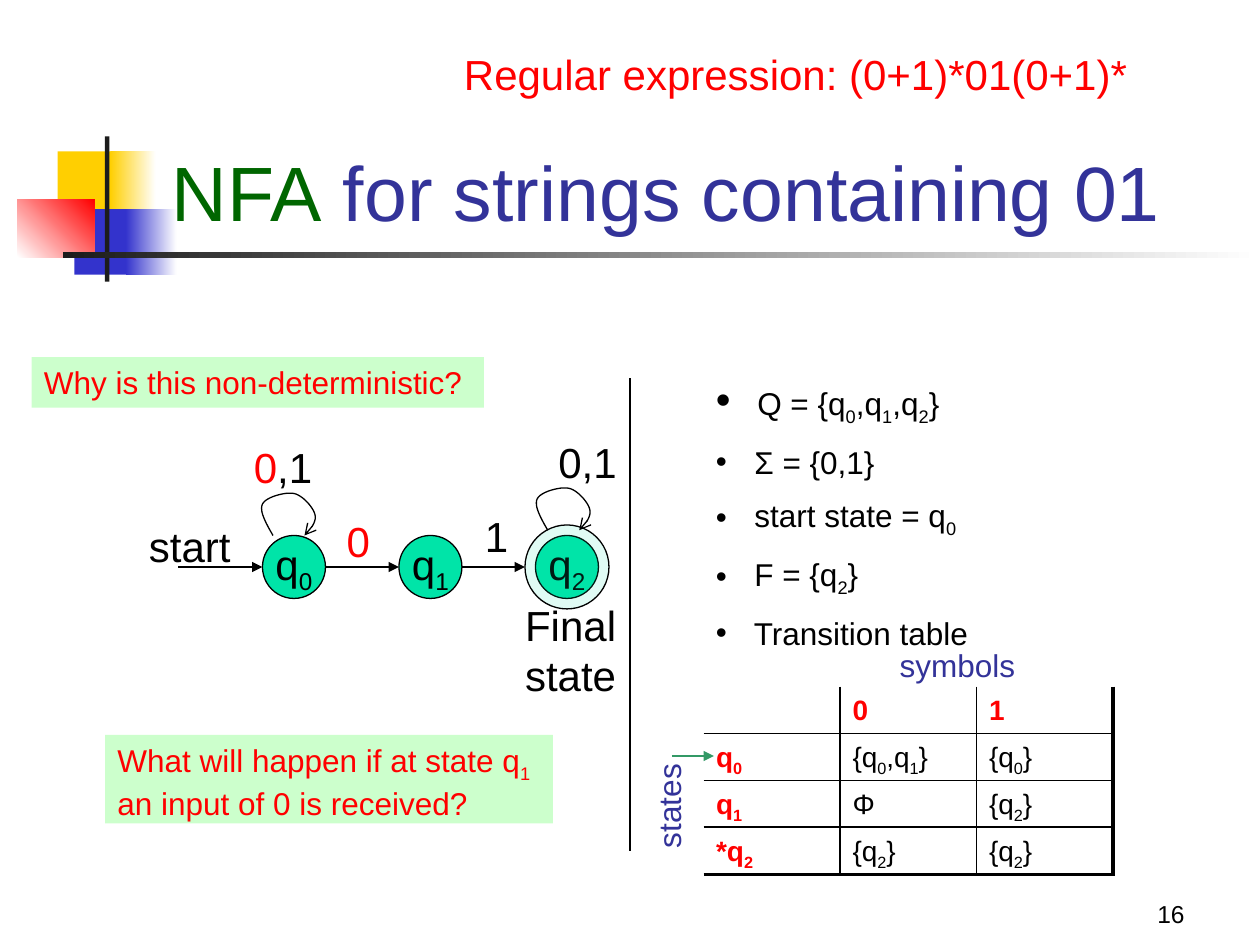
import pptx
import pptx.util
import pptx.dml.color
import pptx.enum.shapes
import pptx.enum.text
import pptx.oxml
import pptx.oxml.ns

Pt = pptx.util.Pt
SHAPE = pptx.enum.shapes.MSO_SHAPE
ALIGN = pptx.enum.text.PP_ALIGN
ANCHOR = pptx.enum.text.MSO_ANCHOR
BLACK, RED, NAVY, MINT = "000000", "FF0000", "333399", "CCFFCC"
GREEN, BLUE, YELLOW, WHITE, DARK = "00E4A8", "3333CC", "FFCF01", "FFFFFF", "1C1C1C"


def rgb(color):
    return pptx.dml.color.RGBColor.from_string(color)


def sub(parent, tag, **attrs):
    """Append a child element such as a:tailEnd and return it."""
    el = pptx.oxml.parse_xml(f"<{tag} {pptx.oxml.ns.nsdecls('a')}/>")
    for name, value in attrs.items():
        el.set(name, str(value))
    parent.append(el)
    return el


def bezier(p0, p1, p2, p3, steps=12):
    """Points along a cubic curve, without its start."""
    for i in range(1, steps + 1):
        t = i / steps
        u = 1 - t
        yield tuple(u**3 * a + 3 * u * u * t * b + 3 * u * t * t * c + t**3 * d
                    for a, b, c, d in zip(p0, p1, p2, p3))


class Deck:
    """Holds the style and the current slide."""
    font = "Arial"

    def __init__(self, prs):
        self.s = prs.slides.add_slide(prs.slide_layouts[6])

    def runs(self, p, parts, size, bold=False):
        """Add (text, colour[, size]) parts; "_x" sets x as a subscript."""
        for text, color, *own in parts:
            for i, piece in enumerate(text.split("_")):
                for chunk, low in ((piece[:1], i > 0), (piece[1:], False)) if i else ((piece, False),):
                    for n, line in enumerate(chunk.split("\n")):
                        if n:
                            p.add_line_break()
                        if line:
                            self.run(p, line, color, own[0] if own else size, bold, low)

    def run(self, p, text, color, size, bold, low):
        r = p.add_run()
        r.text = text
        r.font.name, r.font.size, r.font.bold = self.font, Pt(size), bold
        r.font.color.rgb = rgb(color)
        if low:
            r._r.get_or_add_rPr().set("baseline", "-25000")

    def text(self, box, paragraphs, size, fill=None, wrap=False, align=ALIGN.LEFT,
             anchor=ANCHOR.TOP, bullet_gap=None):
        sp = self.s.shapes.add_textbox(*map(Pt, box))
        if fill:
            sp.fill.solid()
            sp.fill.fore_color.rgb = rgb(fill)
        tf = sp.text_frame
        tf.word_wrap, tf.vertical_anchor = wrap, anchor
        for i, parts in enumerate(paragraphs):
            p = tf.paragraphs[0] if i == 0 else tf.add_paragraph()
            p.alignment = align
            if bullet_gap:
                pPr = p._p.get_or_add_pPr()
                pPr.set("marL", str(Pt(17)))
                pPr.set("indent", str(-Pt(17)))
                sub(pPr, "a:buFont", typeface=self.font)
                sub(pPr, "a:buChar", char="•")
                p.space_before = Pt(bullet_gap if i else 0)
            self.runs(p, parts, size)
        return sp

    def shape(self, kind, box, fill, to=None, angle=0, line=None, alpha=None):
        """Preset shape; "to" makes the fill a gradient ending in that colour."""
        sp = self.s.shapes.add_shape(kind, *map(Pt, box))
        sp.shadow.inherit = False
        if to:
            sp.fill.gradient()
            sp.fill.gradient_angle = angle
            for stop, color in zip(sp.fill.gradient_stops, (fill, to)):
                stop.color.rgb = rgb(color)
        else:
            sp.fill.solid()
            sp.fill.fore_color.rgb = rgb(fill)
            if alpha:
                color_el = sp.fill._xPr.find(".//" + pptx.oxml.ns.qn("a:srgbClr"))
                sub(color_el, "a:alpha", val=alpha * 1000)
        if line:
            self.stroke(sp, line)
        else:
            sp.line.fill.background()
        return sp

    def stroke(self, sp, color, arrow=None):
        sp.line.color.rgb = rgb(color)
        sp.line.width = Pt(0.75)
        if arrow:
            sub(sp.line._get_or_add_ln(), "a:tailEnd", type=arrow)

    def line(self, x1, y1, x2, y2, color=BLACK, arrow=None):
        kind = pptx.enum.shapes.MSO_CONNECTOR.STRAIGHT
        c = self.s.shapes.add_connector(kind, *map(Pt, (x1, y1, x2, y2)))
        self.stroke(c, color, arrow)
        sub(c._element.spPr, "a:effectLst")

    def state(self, x, y, label):
        sp = self.shape(SHAPE.OVAL, (x, y, 36, 36), GREEN, line=BLACK)
        tf = sp.text_frame
        tf.word_wrap, tf.vertical_anchor = False, ANCHOR.MIDDLE
        p = tf.paragraphs[0]
        p.alignment = ALIGN.CENTER
        self.runs(p, [(label, BLACK)], 24)

    def loop(self, x, y):
        """Self-transition arrow above the state at x, y."""
        knots = [(6, 0), (2, -7), (-2, -14), (0, -18), (2, -22), (13, -25), (18, -24),
                 (23, -23), (29, -16), (30, -12), (31, -8), (28, -4), (24, 0)]
        pts = [(Pt(x + a), Pt(y + b)) for a, b in knots]
        curve = [q for i in range(0, 12, 3) for q in bezier(*pts[i:i + 4])]
        fb = self.s.shapes.build_freeform(*pts[0])
        fb.add_line_segments(curve, close=False)
        sp = fb.convert_to_shape()
        sp.shadow.inherit = False
        sp.fill.background()
        self.stroke(sp, BLACK, "arrow")

    def borders(self, cell, **widths):
        """Cell edges by side (L, R, T, B); width 0 hides the edge."""
        tcPr = cell._tc.get_or_add_tcPr()
        for side, width in widths.items():
            ln = sub(tcPr, f"a:ln{side}", w=Pt(width))
            if width:
                sub(sub(ln, "a:solidFill"), "a:srgbClr", val=BLACK)
            else:
                sub(ln, "a:noFill")

    def table(self, x, y, col_w, row_h, rows):
        n, m = len(rows), len(rows[0])
        box = map(Pt, (x, y, m * col_w, n * row_h))
        tbl = self.s.shapes.add_table(n, m, *box).table
        tbl.first_row = tbl.horz_banding = False
        for i, row in enumerate(rows):
            tbl.rows[i].height = Pt(row_h)
            for j, text in enumerate(row):
                cell = tbl.cell(i, j)
                cell.margin_top, cell.margin_bottom = Pt(5), 0
                self.borders(cell, L=1 if j else 0, R=1 if j < m - 1 else 2.25,
                             T=1 if i else 0, B=1 if i < n - 1 else 2.25)
                cell.fill.background()
                head = i == 0 or j == 0
                p = cell.text_frame.paragraphs[0]
                self.runs(p, [(text, RED if head else BLACK)], 16, head)


def main():
    prs = pptx.Presentation()
    prs.slide_width, prs.slide_height = Pt(720), Pt(540)
    d = Deck(prs)

    # Title ornament
    rect = SHAPE.RECTANGLE
    d.shape(rect, (33, 86.5, 35, 37.5), YELLOW)
    d.shape(rect, (63, 86.5, 26, 37.5), YELLOW, WHITE)
    d.shape(rect, (42.5, 119.5, 33, 37.5), BLUE)
    d.shape(rect, (72, 119.5, 29, 37.5), BLUE, WHITE)
    d.shape(rect, (10, 114, 44, 33), WHITE, RED, angle=45)
    d.shape(rect, (60, 78, 2.5, 83), DARK)
    d.shape(rect, (36, 144, 684, 3.5), DARK, WHITE)

    d.text((534, 498, 150, 36), [[("16", BLACK)]], 14, wrap=True,
           align=ALIGN.RIGHT, anchor=ANCHOR.BOTTOM)
    d.text((91, 49, 613, 90), [[("NFA", "006600"), (" for strings containing 01", NAVY)]],
           44, wrap=True, anchor=ANCHOR.BOTTOM)

    # Automaton
    left, top, pitch = 150, 306, 78
    for i in range(3):
        d.state(left + i * pitch, top, f"q_{i}")
    d.shape(SHAPE.OVAL, (300, 300, 48, 48), GREEN, line=BLACK, alpha=12)
    for x1, x2 in ((102, 150), (186, 228), (264, 300)):
        d.line(x1, 324, x2, 324, arrow="triangle")
    d.loop(left, top)
    d.loop(left + 157, top - 3)
    labels = [
        ((78, 294, 64, 36), [[("start", BLACK)]]),
        ((191, 291, 30, 36), [[("0", RED)]]),
        ((270, 288, 30, 36), [[("1", BLACK)]]),
        ((138, 249, 52, 36), [[("0", RED), (",1", BLACK)]]),
        ((312, 246, 52, 36), [[("0,1", BLACK)]]),
        ((293, 339, 72, 65), [[("Final", BLACK)], [("state", BLACK)]]),
    ]
    for box, paragraphs in labels:
        d.text(box, paragraphs, 24)

    # Formal definition
    d.line(360, 216, 360, 486)
    facts = [" Σ = {0,1}", " start state = q_0", " F = {q_2}", " Transition table"]
    d.text((402, 210, 252, 166),
           [[(" ", BLACK, 24), ("Q = {q_0,q_1,q_2}", BLACK)]] + [[(f, BLACK)] for f in facts],
           18, wrap=True, bullet_gap=9)
    d.table(402, 392.4, 78, 26.4, [
        ["", "0", "1"],
        ["q_0", "{q_0,q_1}", "{q_0}"],
        ["q_1", "Φ", "{q_2}"],
        ["*q_2", "{q_2}", "{q_2}"],
    ])
    d.text((351, 446, 62.5, 29), [[("states", NAVY)]], 18).rotation = 270
    d.text((507, 365.5, 82, 29), [[("symbols", NAVY)]], 18)
    d.line(384, 432, 408, 432, "339966", "triangle")

    # Questions
    d.text((60, 420, 256, 50.5),
           [[("What will happen if at state q_1 \nan input of 0 is received?", RED)]], 18, MINT)
    d.text((18, 204, 258.5, 29), [[("Why is this non-deterministic?", RED)]], 18, MINT)
    d.text((258, 24, 398, 36.5), [[("Regular expression: (0+1)*01(0+1)*", RED)]], 24)

    prs.save("out.pptx")


if __name__ == "__main__":
    main()
